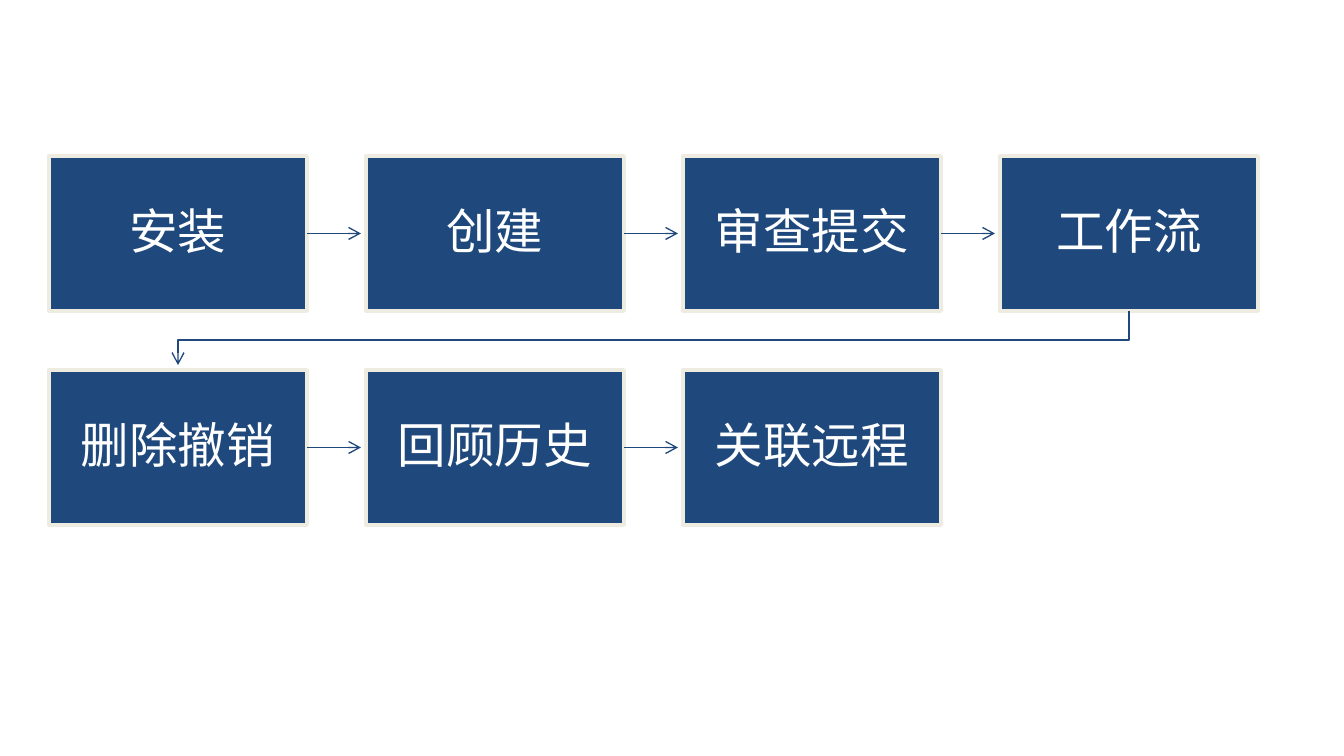
from lxml.etree import SubElement
from pptx import Presentation
from pptx.dml.color import RGBColor
from pptx.enum.shapes import MSO_CONNECTOR, MSO_SHAPE
from pptx.enum.text import MSO_ANCHOR, PP_ALIGN
from pptx.oxml.ns import qn
from pptx.util import Pt

NAVY = RGBColor(0x1F, 0x49, 0x7D)
CREAM = RGBColor(0xEE, 0xEC, 0xE1)
WHITE = RGBColor(0xFF, 0xFF, 0xFF)

SLIDE_WIDTH, SLIDE_HEIGHT = 1344, 756
LEFT, TOP = 49, 156
BOX_WIDTH, BOX_HEIGHT = 258, 155
COLUMN_STEP, ROW_STEP = 317, 214
ARROW_GAP = 5
TURN_DROP = 29
TEXT_INSET = 27

ROWS = [
    ["安装", "创建", "审查提交", "工作流"],
    ["删除撤销", "回顾历史", "关联远程"],
]


def px(count):
    return round(count * 914400 / 134.4)


def style_arrow(line):
    """Thin navy line with an open arrowhead at its end."""
    line.color.rgb = NAVY
    line.width = Pt(0.75)
    SubElement(line._get_or_add_ln(), qn("a:tailEnd"), type="arrow")


def add_step(slide, text, column, row):
    box = slide.shapes.add_shape(
        MSO_SHAPE.RECTANGLE,
        px(LEFT + column * COLUMN_STEP), px(TOP + row * ROW_STEP),
        px(BOX_WIDTH), px(BOX_HEIGHT))
    box.shadow.inherit = False
    box.fill.solid()
    box.fill.fore_color.rgb = NAVY
    box.line.color.rgb = CREAM
    box.line.width = Pt(2)

    frame = box.text_frame
    frame.word_wrap = True
    frame.vertical_anchor = MSO_ANCHOR.MIDDLE
    frame.margin_left = frame.margin_right = px(TEXT_INSET)
    frame.margin_top = frame.margin_bottom = px(TEXT_INSET)
    paragraph = frame.paragraphs[0]
    paragraph.text = text
    paragraph.alignment = PP_ALIGN.CENTER
    paragraph.line_spacing = 0.9
    paragraph.font.name = "Calibri"
    paragraph.font.size = Pt(26)
    paragraph.font.color.rgb = WHITE
    return box


def add_arrow(slide, source, target):
    """Arrow from one step to just before its right-hand neighbour."""
    middle = source.top + source.height // 2
    connector = slide.shapes.add_connector(
        MSO_CONNECTOR.STRAIGHT, source.left + source.width, middle,
        target.left - px(ARROW_GAP), middle)
    connector.begin_connect(source, 3)
    style_arrow(connector.line)
    SubElement(connector._element.spPr, qn("a:effectLst"))


def add_row_turn(slide, source, target):
    """Bent arrow from the end of one row to the start of the next."""
    start_x = source.left + source.width // 2
    end_x = target.left + target.width // 2
    bottom = source.top + source.height
    turn_y = bottom + px(TURN_DROP)
    builder = slide.shapes.build_freeform(start_x, bottom)
    builder.add_line_segments(
        [(start_x, turn_y), (end_x, turn_y),
         (end_x, target.top - px(ARROW_GAP))], close=False)
    turn = builder.convert_to_shape()
    turn.shadow.inherit = False
    turn.fill.background()
    style_arrow(turn.line)


def main():
    presentation = Presentation()
    presentation.slide_width = px(SLIDE_WIDTH)
    presentation.slide_height = px(SLIDE_HEIGHT)
    slide = presentation.slides.add_slide(presentation.slide_layouts[6])

    rows = [[add_step(slide, text, column, row)
             for column, text in enumerate(texts)]
            for row, texts in enumerate(ROWS)]
    for steps in rows:
        for source, target in zip(steps, steps[1:]):
            add_arrow(slide, source, target)
    for upper, lower in zip(rows, rows[1:]):
        add_row_turn(slide, upper[-1], lower[0])

    presentation.save("out.pptx")


if __name__ == "__main__":
    main()
